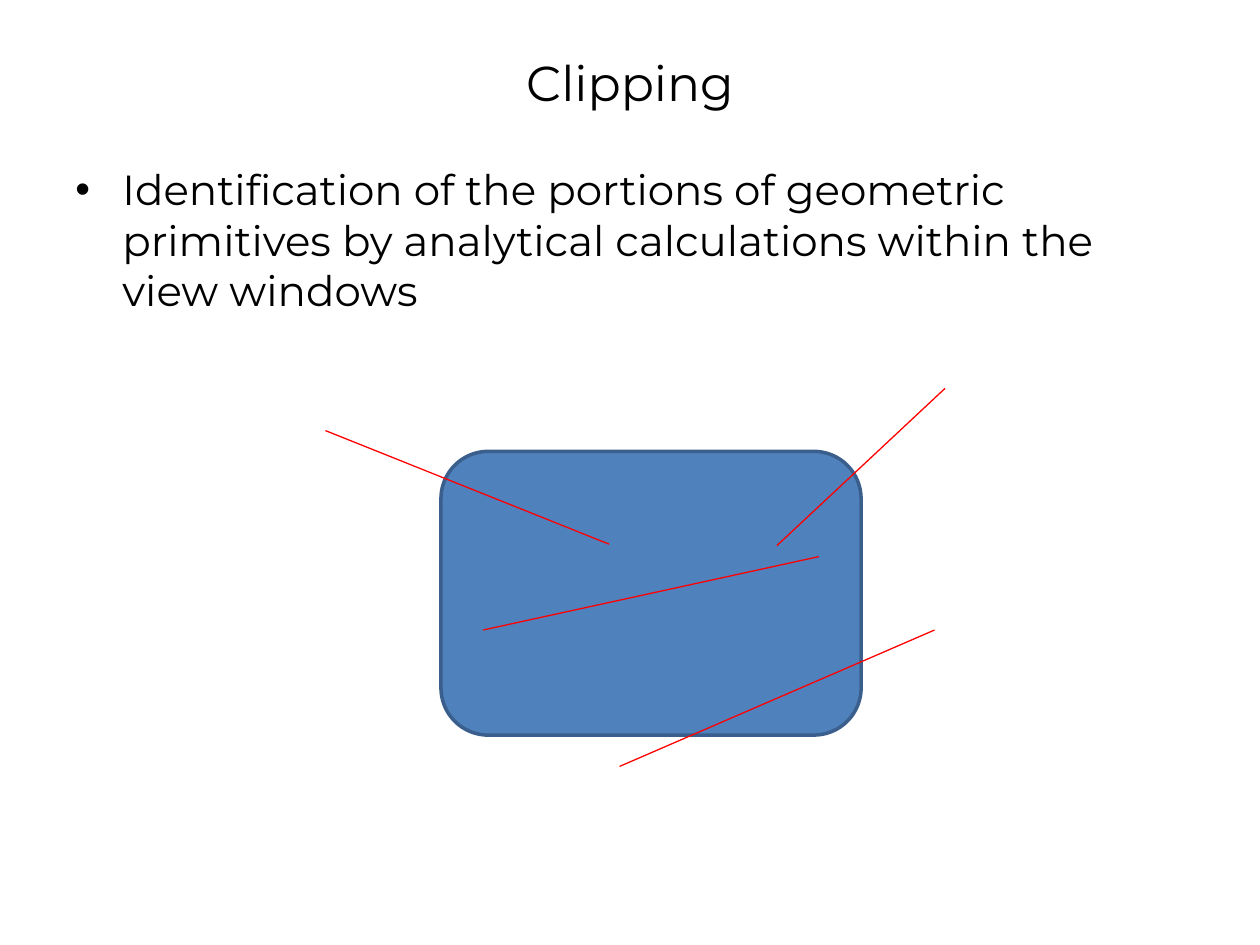
from dataclasses import dataclass

from lxml import etree
from pptx import Presentation
from pptx import util as u
from pptx.dml.color import RGBColor
from pptx.enum import shapes, text
from pptx.oxml.ns import qn


@dataclass(frozen=True)
class Theme:
    font: str = "Montserrat"
    ink: str = "000000"
    window_fill: str = "4F81BD"
    window_edge: str = "3A5F8C"
    segment: str = "FF0000"
    title_size: float = 28
    body_size: float = 24
    window_edge_width: float = 2
    segment_width: float = 0.75


class SlideBuilder:
    """Draws styled elements on the current slide."""

    def __init__(self, slide, theme):
        self.slide = slide
        self.theme = theme

    def apply(self, target, values):
        for name, value in values.items():
            setattr(target, name, value)

    def outline(self, line, color, width):
        line.color.rgb = RGBColor.from_string(color)
        line.width = u.Pt(width)

    def text_box(self, box, content, size, anchor, alignment, bullet=None):
        shape = self.slide.shapes.add_textbox(*map(u.Cm, box))
        self.apply(shape.text_frame, {"word_wrap": True, "vertical_anchor": anchor})
        paragraph = shape.text_frame.paragraphs[0]
        paragraph.text = content
        paragraph.alignment = alignment
        if bullet:
            properties = paragraph._p.get_or_add_pPr()
            indent = u.Cm(0.95)
            properties.set("marL", str(indent))
            properties.set("indent", str(-indent))
            etree.SubElement(properties, qn("a:buFont"), typeface="Arial")
            etree.SubElement(properties, qn("a:buChar"), char=bullet)
        font = paragraph.runs[0].font
        self.apply(font, {"name": self.theme.font, "size": u.Pt(size)})
        font.color.rgb = RGBColor.from_string(self.theme.ink)

    def view_window(self, box):
        shape = self.slide.shapes.add_shape(
            shapes.MSO_SHAPE.ROUNDED_RECTANGLE, *map(u.Cm, box))
        shape.shadow.inherit = False
        shape.fill.solid()
        shape.fill.fore_color.rgb = RGBColor.from_string(self.theme.window_fill)
        self.outline(shape.line, self.theme.window_edge, self.theme.window_edge_width)

    def segment(self, ends):
        connector = self.slide.shapes.add_connector(
            shapes.MSO_CONNECTOR.STRAIGHT, *map(u.Cm, ends))
        self.outline(connector.line, self.theme.segment, self.theme.segment_width)
        etree.SubElement(connector._element.spPr, qn("a:effectLst"))


def main():
    presentation = Presentation()
    presentation.slide_width = u.Cm(25.4)
    presentation.slide_height = u.Cm(19.05)
    slide = presentation.slides.add_slide(presentation.slide_layouts[6])
    theme = Theme()
    builder = SlideBuilder(slide, theme)

    builder.text_box((1.27, 0.76, 22.86, 1.78), "Clipping", theme.title_size,
                     text.MSO_ANCHOR.MIDDLE, text.PP_ALIGN.CENTER)
    builder.text_box(
        (1.27, 3.18, 22.86, 13.84),
        "Identification of the portions of geometric primitives by "
        "analytical calculations within the view windows",
        theme.body_size, text.MSO_ANCHOR.TOP, text.PP_ALIGN.LEFT, bullet="•")

    builder.view_window((8.89, 9.1, 8.47, 5.72))
    for ends in (
        (15.66, 11, 19.05, 7.83),
        (9.74, 12.7, 16.51, 11.22),
        (12.49, 15.45, 18.84, 12.7),
        (6.56, 8.68, 12.28, 10.97),
    ):
        builder.segment(ends)

    presentation.save("out.pptx")


if __name__ == "__main__":
    main()
